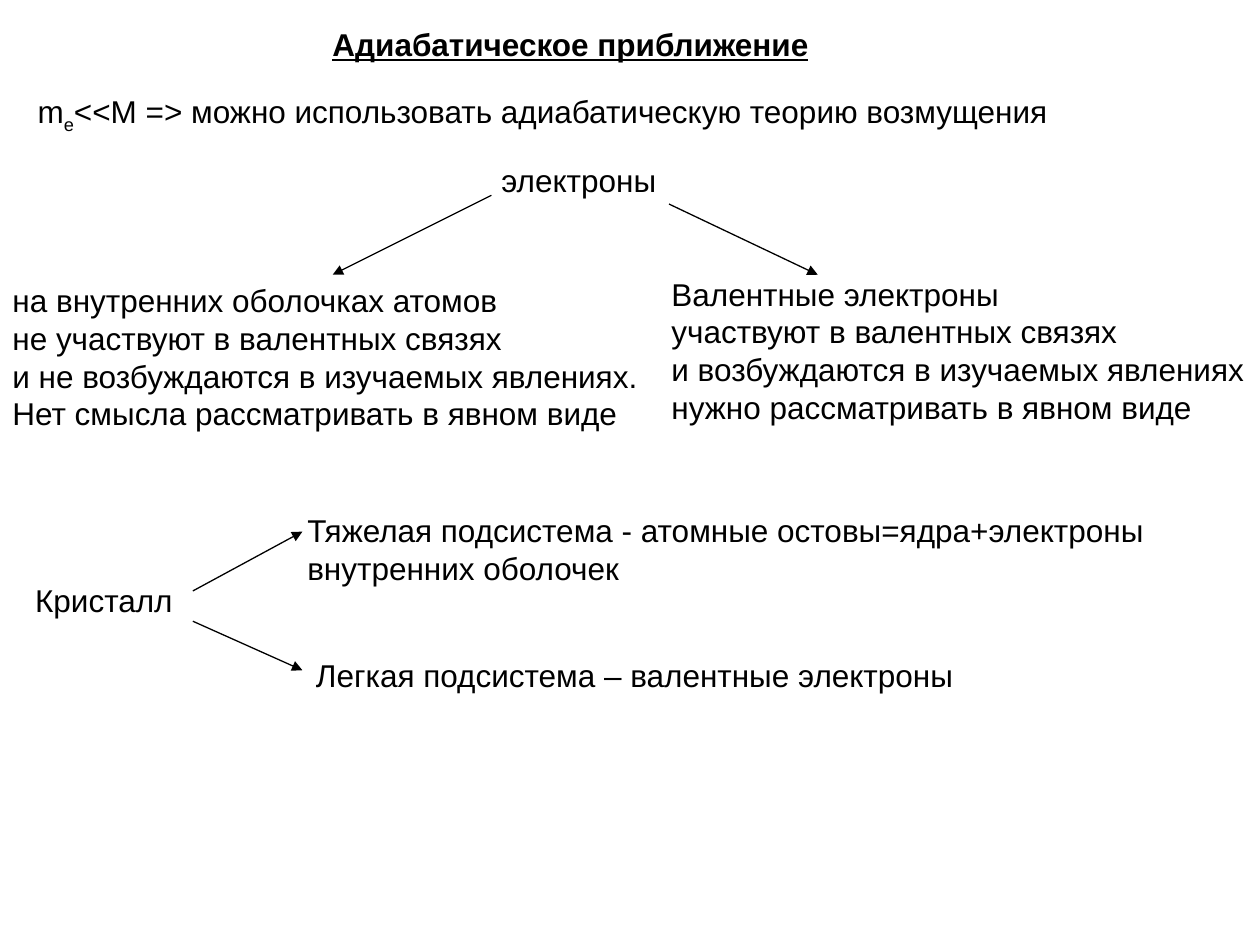
from pptx import Presentation
from pptx.dml.color import RGBColor
from pptx.enum.shapes import MSO_CONNECTOR
from pptx.enum.text import MSO_AUTO_SIZE
from pptx.oxml.ns import qn
from pptx.util import Pt
from lxml.etree import SubElement

COLORS = {"ink": "000000", "background": "FFFFFF"}
INK = RGBColor.from_string(COLORS["ink"])

prs = Presentation()
prs.slide_width, prs.slide_height = Pt(720), Pt(540)
s = prs.slides.add_slide(prs.slide_layouts[6])
s.background.fill.solid()
s.background.fill.fore_color.rgb = RGBColor.from_string(COLORS["background"])


def add_text(left, top, width, height, lines, wrap=False):
    """Add a text box; each line is a list of runs that form one paragraph."""
    sp = s.shapes.add_textbox(Pt(left), Pt(top), Pt(width), Pt(height))
    tf = sp.text_frame
    tf.word_wrap = wrap
    tf.auto_size = MSO_AUTO_SIZE.SHAPE_TO_FIT_TEXT
    for i, runs in enumerate(lines):
        p = tf.paragraphs[0] if i == 0 else tf.add_paragraph()
        for text in runs:
            r = p.add_run()
            r.text = text
            r.font.name = "Arial"
            r.font.size = Pt(18)
            r.font.color.rgb = INK
    return tf


# Title and premise
title = add_text(182.9, 10.8, 287.3, 29, [["Адиабатическое приближение"]])
title_font = title.paragraphs[0].runs[0].font
title_font.bold = True
title_font.underline = True

premise = add_text(14.4, 49, 705.6, 31.7, [
    ["m", "e", "<<M => можно использовать адиабатическую теорию возмущения"],
], wrap=True)
subscript = premise.paragraphs[0].runs[1]
subscript.font._element.set("baseline", "-25000")

# Two kinds of electrons
add_text(279.4, 88.6, 103, 29, [["электроны"]])
add_text(0, 157, 399.6, 93.6, [
    ["на внутренних оболочках атомов"],
    ["не участвуют в валентных связях"],
    ["и не возбуждаются в изучаемых явлениях."],
    ["Нет смысла рассматривать в явном виде"],
], wrap=True)
add_text(376.6, 153.4, 343.4, 93.6, [
    ["Валентные электроны"],
    ["участвуют в валентных связях"],
    ["и возбуждаются в изучаемых явлениях"],
    ["нужно рассматривать в явном виде"],
])

# Two subsystems of the crystal
add_text(13, 328.3, 92.9, 29, [["Кристалл"]])
add_text(168.5, 288.7, 580, 50.4, [
    ["Тяжелая подсистема - атомные остовы=ядра+электроны внутренних оболочек"],
], wrap=True)
add_text(173.5, 371.5, 379.4, 29, [["Легкая подсистема – валентные электроны"]])

# Arrows: start x, start y, end x, end y
arrows = [
    (280.8, 111.6, 190.1, 157),
    (382.3, 116.6, 467.3, 157),
    (110.2, 337.7, 172.8, 303.8),
    (110.2, 355, 172.8, 383),
]
for ends in arrows:
    arrow = s.shapes.add_connector(MSO_CONNECTOR.STRAIGHT, *map(Pt, ends))
    arrow.line.color.rgb = INK
    arrow.line.width = Pt(0.75)
    SubElement(arrow.line._get_or_add_ln(), qn("a:tailEnd"), type="triangle")
    SubElement(arrow._element.spPr, qn("a:effectLst"))

prs.save("out.pptx")
